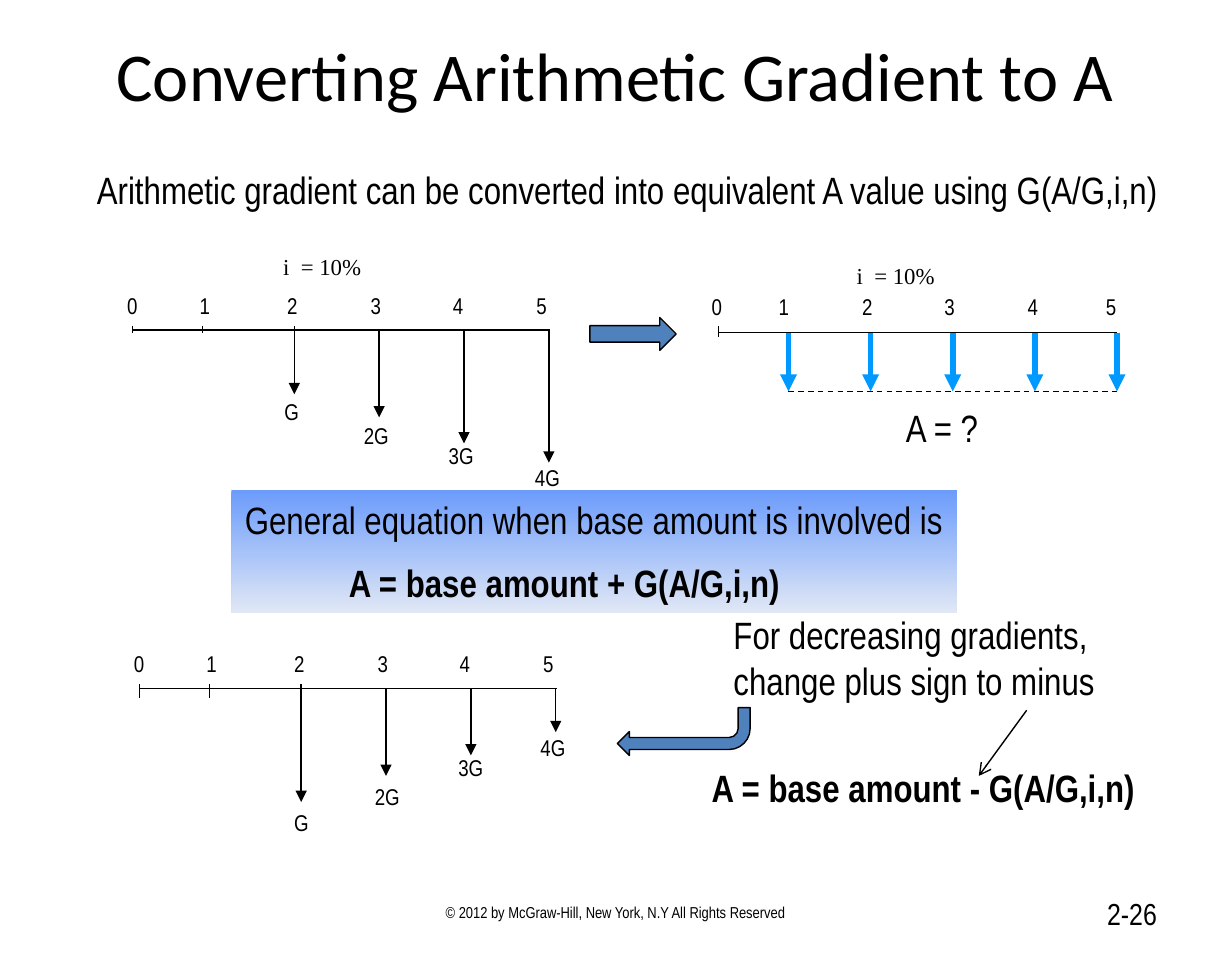
from lxml.etree import SubElement
from pptx import Presentation
from pptx.dml.color import RGBColor
from pptx.enum.dml import MSO_LINE
from pptx.enum.shapes import MSO_CONNECTOR, MSO_SHAPE
from pptx.enum.text import MSO_ANCHOR, PP_ALIGN
from pptx.oxml.ns import qn
from pptx.util import Inches, Pt

HUES = {"ink": "000000", "blue": "0099FF", "steel": "4F81BD",
        "top": "6B9BFB", "base": "E1E8F5"}


def hue(name):
    """Return the colour with this name."""
    return RGBColor.from_string(HUES[name])


def style(item, **form):
    """Set each given attribute on the item."""
    for key, value in form.items():
        setattr(item, key, value)


class Board:
    """Style and current slide, with a method for each kind of element."""

    def __init__(self, deck):
        """Add a title-only slide to the deck."""
        self.slide = deck.slides.add_slide(deck.slide_layouts[5])
        self.shapes = self.slide.shapes
        self.face = "Arial Narrow"

    def fill(self, para, words, size, tabs=(), **form):
        """Fill a paragraph with styled words and tab stops."""
        para.text = words
        if tabs:
            stops = SubElement(para._p.get_or_add_pPr(), qn("a:tabLst"))
            for tab in tabs:
                SubElement(stops, qn("a:tab"), pos=str(Inches(tab)), algn="l")
        style(para.font, **{"name": self.face, "size": Pt(size), **form})
        para.font.color.rgb = hue("ink")

    def title(self, words, x, y, w, h):
        """Place and format the title."""
        head = self.shapes.title
        style(head, left=Inches(x), top=Inches(y), width=Inches(w), height=Inches(h))
        style(head.text_frame, word_wrap=True, vertical_anchor=MSO_ANCHOR.MIDDLE)
        para = head.text_frame.paragraphs[0]
        self.fill(para, words, 36, name="Calibri")
        para.alignment = PP_ALIGN.CENTER

    def text(self, words, x, y, w, h, size=12, tabs=(), **form):
        """Add a left-aligned text box, one paragraph per line."""
        frame = self.shapes.add_textbox(*map(Inches, (x, y, w, h))).text_frame
        style(frame, word_wrap=True, margin_right=0)
        for row, line in enumerate(words.split("\n")):
            para = frame.add_paragraph() if row else frame.paragraphs[0]
            self.fill(para, line, size, tabs, **form)

    def foot(self, words, x, w, size, **form):
        """Add a footer text."""
        box = self.shapes.add_textbox(*map(Inches, (x, 6.49, w, 0.37)))
        style(box.text_frame, word_wrap=True, vertical_anchor=MSO_ANCHOR.MIDDLE)
        para = box.text_frame.paragraphs[0]
        self.fill(para, words, size)
        style(para, **form)

    def line(self, x, y, to_x, to_y, color="ink", width=0.75, tip=None, dash=None):
        """Add a line with an optional arrowhead."""
        link = self.shapes.add_connector(
            MSO_CONNECTOR.STRAIGHT, *map(Inches, (x, y, to_x, to_y)))
        link.line.color.rgb = hue(color)
        style(link.line, width=Pt(width), dash_style=dash)
        if tip:
            SubElement(link.line._ln, qn("a:tailEnd"), type=tip)
        SubElement(link._element.spPr, qn("a:effectLst"))

    def arrow(self, kind, x, y, w, h, parts, turn=0):
        """Add a block arrow."""
        block = self.shapes.add_shape(kind, *map(Inches, (x, y, w, h)))
        style(block, rotation=turn)
        style(block.shadow, inherit=False)
        for spot, part in enumerate(parts):
            block.adjustments[spot] = part
        block.fill.solid()
        block.fill.fore_color.rgb = hue("steel")
        block.line.color.rgb = hue("ink")
        block.line.width = Pt(0.75)

    def panel(self, lead, rule, x, y, w, h):
        """Add the gradient panel with the general equation."""
        box = self.shapes.add_shape(MSO_SHAPE.RECTANGLE, *map(Inches, (x, y, w, h)))
        style(box.shadow, inherit=False)
        box.line.fill.background()
        box.fill.gradient()
        box.fill.gradient_angle = 270
        for stop, name, spot in zip(box.fill.gradient_stops, ("top", "base"), (0, 1)):
            stop.color.rgb = hue(name)
            stop.position = spot
        frame = box.text_frame
        style(frame, word_wrap=True, margin_right=0, vertical_anchor=MSO_ANCHOR.TOP)
        first, last = frame.paragraphs[0], frame.add_paragraph()
        self.fill(first, lead, 20)
        last._p.get_or_add_pPr().set("marL", str(Inches(0.76)))
        self.fill(last, rule, 20, bold=True)
        style(first, alignment=PP_ALIGN.LEFT)
        style(last, alignment=PP_ALIGN.LEFT, space_before=Pt(9))

    def years(self, x, y, tabs):
        """Number the years along an axis."""
        self.text("0\t1\t2\t3\t4\t5", x, y, 3.4, 0.3, tabs=tabs)

    def flow(self, x, y, tick, marks):
        """Draw a gradient cash flow: axis, ticks, arrows and labels."""
        self.line(x, y, x + 3.05, y)
        for gap in (0, 0.51):
            self.line(x + gap, y - 0.03, x + gap, y + tick)
        self.years(x - 0.14, y - 0.33, (0.53, 1.17, 1.78, 2.38, 2.99))
        for step, (name, end, left, top) in enumerate(marks):
            spot = x + 1.18 + 0.62 * step
            self.line(spot, y if step else y - 0.03, spot, end, tip="triangle")
            self.text(name, left, top, 0.4, 0.3)

    def level(self, x, y):
        """Draw the uniform cash flow."""
        for step in range(5):
            spot = x + 0.51 + 0.6 * step
            self.line(spot, y, spot, y + 0.43, "blue", 3, "triangle")
        self.line(x, y, x + 2.91, y)
        self.line(x, 2.38, x, 2.46)
        self.line(x + 0.51, 2.86, x + 2.91, 2.86, dash=MSO_LINE.DASH)
        self.years(x - 0.15, 2.09, (0.49, 1.1, 1.7, 2.31, 2.88))


def main():
    """Build the slide and save it."""
    deck = Presentation()
    style(deck, slide_width=Inches(9), slide_height=Inches(7))
    board = Board(deck)
    board.title("Converting Arithmetic Gradient to A", 0.67, 0.17, 7.65, 0.75)
    board.foot("© 2012 by McGraw-Hill, New York, N.Y All Rights Reserved",
               3.07, 2.85, 8.3, alignment=PP_ALIGN.CENTER, line_spacing=0.9)
    board.foot("2-26", 6.45, 2.1, 16, alignment=PP_ALIGN.RIGHT)
    board.text("Arithmetic gradient can be converted into equivalent A value "
               "using G(A/G,i,n)", 0.61, 1.17, 8.04, 0.44, 20)

    for x, y in ((1.97, 1.8), (6.16, 1.86)):
        board.text("i  = 10%", x, y, 0.8, 0.3, name="Times New Roman")
    board.flow(0.97, 2.41, 0.02, (
        ("G", 2.88, 1.98, 2.86), ("2G", 3.05, 2.56, 3.03),
        ("3G", 3.24, 3.18, 3.18), ("4G", 3.38, 3.81, 3.34)))
    board.arrow(MSO_SHAPE.RIGHT_ARROW, 4.31, 2.32, 0.63, 0.24, (0.5, 0.5))
    board.level(5.25, 2.43)
    board.text("A = ?", 6.52, 2.91, 0.74, 0.44, 20)

    board.panel("General equation when base amount is involved is",
                "A = base amount + G(A/G,i,n)", 1.69, 3.58, 5.3, 0.9)

    board.flow(1.02, 5.03, 0.07, (
        ("G", 5.86, 2.05, 5.86), ("2G", 5.67, 2.64, 5.67),
        ("3G", 5.52, 3.25, 5.46), ("4G", 5.35, 3.85, 5.31)))
    board.text("For decreasing gradients,\nchange plus sign to minus",
               5.26, 4.42, 2.85, 0.77, 20)
    board.text("A = base amount - G(A/G,i,n)", 5.1, 5.54, 3.3, 0.44, 20, bold=True)
    board.line(7.5, 5.19, 7.15, 5.67, tip="arrow")
    board.arrow(MSO_SHAPE.BENT_ARROW, 4.51, 5.17, 0.97, 0.35,
                (0.25, 0.25, 0.25, 0.44), 180)
    deck.save("out.pptx")


if __name__ == "__main__":
    main()
